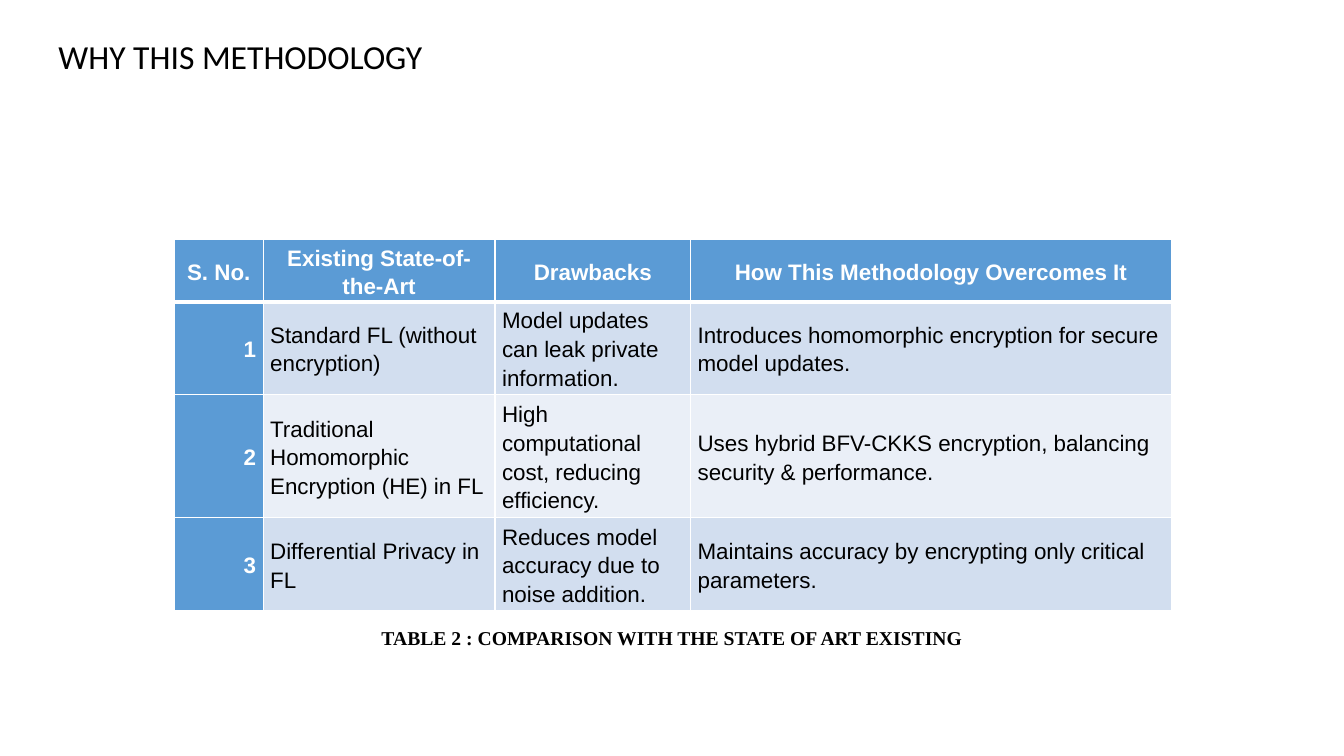
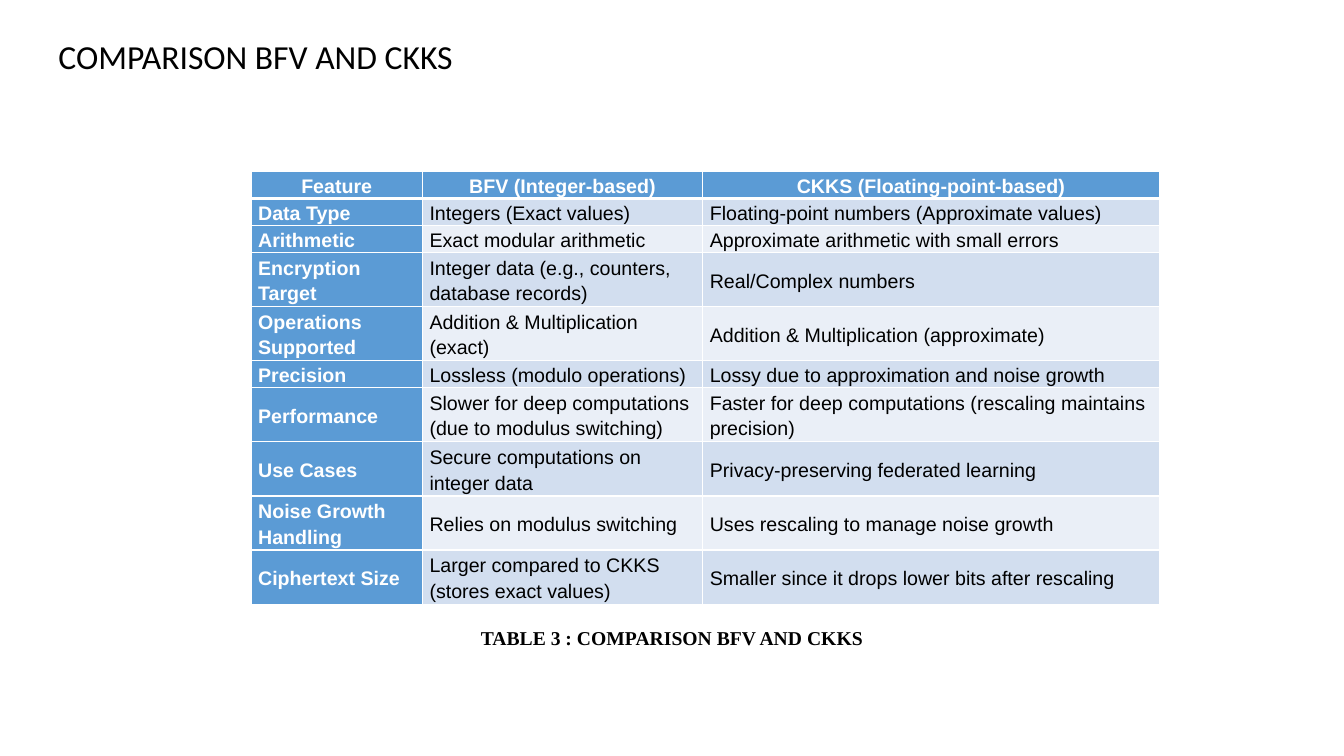
"""Build two slides that compare encryption methods in tables."""
import pptx
import pptx.dml.color
import pptx.enum.text
import pptx.oxml
import pptx.oxml.ns
import pptx.util

Inches = pptx.util.Inches
Pt = pptx.util.Pt
RGBColor = pptx.dml.color.RGBColor
ALIGN = pptx.enum.text.PP_ALIGN
MIDDLE = pptx.enum.text.MSO_ANCHOR.MIDDLE

BLACK = RGBColor(0x00, 0x00, 0x00)
WHITE = RGBColor(0xFF, 0xFF, 0xFF)
BLUE = RGBColor(0x5B, 0x9B, 0xD5)
BANDS = [RGBColor(0xEA, 0xEF, 0xF7), RGBColor(0xD2, 0xDE, 0xEF)]


def write_text(frame, text, *, font, size, color=BLACK, bold=False,
               align=ALIGN.LEFT, spacing=1.15, after=8):
    frame.word_wrap = True
    para = frame.paragraphs[0]
    para.alignment = align
    para.line_spacing = spacing
    para.space_after = Pt(after)
    span = para.add_run()
    span.text = text
    span.font.name = font
    span.font.size = Pt(size)
    span.font.bold = bold
    span.font.color.rgb = color


def add_border(cell, side, width):
    cell._tc.get_or_add_tcPr().append(pptx.oxml.parse_xml(
        f'<a:{side} {pptx.oxml.ns.nsdecls("a")} w="{Pt(width)}">'
        f'<a:solidFill><a:srgbClr val="{WHITE}"/></a:solidFill></a:{side}>'))


SLIDES = [
    dict(
        title="WHY THIS METHODOLOGY",
        caption="TABLE 2 : COMPARISON WITH THE STATE OF ART EXISTING",
        left=1.73, top=2.38, size=16, label_align=ALIGN.RIGHT,
        widths=[0.88, 2.3, 1.94, 4.77],
        heights=[0.6, 0.91, 1.22, 0.91],
        rows=[
            ["S. No.", "Existing State-of-the-Art", "Drawbacks",
             "How This Methodology Overcomes It"],
            ["1", "Standard FL (without encryption)",
             "Model updates can leak private information.",
             "Introduces homomorphic encryption for secure model updates."],
            ["2", "Traditional Homomorphic Encryption (HE) in FL",
             "High computational cost, reducing efficiency.",
             "Uses hybrid BFV-CKKS encryption, balancing security & performance."],
            ["3", "Differential Privacy in FL",
             "Reduces model accuracy due to noise addition.",
             "Maintains accuracy by encrypting only critical parameters."],
        ]),
    dict(
        title="COMPARISON BFV AND CKKS",
        caption="TABLE 3 : COMPARISON BFV AND CKKS",
        left=2.49, top=1.7, size=14, label_align=ALIGN.LEFT,
        widths=[1.7, 2.78, 4.53],
        heights=[0.26] * 3 + [0.53] * 2 + [0.26] + [0.53] * 4,
        rows=[
            ["Feature", "BFV (Integer-based)", "CKKS (Floating-point-based)"],
            ["Data Type", "Integers (Exact values)",
             "Floating-point numbers (Approximate values)"],
            ["Arithmetic", "Exact modular arithmetic",
             "Approximate arithmetic with small errors"],
            ["Encryption Target", "Integer data (e.g., counters, database records)",
             "Real/Complex numbers"],
            ["Operations Supported", "Addition & Multiplication (exact)",
             "Addition & Multiplication (approximate)"],
            ["Precision", "Lossless (modulo operations)",
             "Lossy due to approximation and noise growth"],
            ["Performance", "Slower for deep computations (due to modulus switching)",
             "Faster for deep computations (rescaling maintains precision)"],
            ["Use Cases", "Secure computations on integer data",
             "Privacy-preserving federated learning"],
            ["Noise Growth Handling", "Relies on modulus switching",
             "Uses rescaling to manage noise growth"],
            ["Ciphertext Size", "Larger compared to CKKS (stores exact values)",
             "Smaller since it drops lower bits after rescaling"],
        ]),
]

deck = pptx.Presentation()
deck.slide_width = Inches(13.33)
deck.slide_height = Inches(7.5)

for content in SLIDES:
    page = deck.slides.add_slide(deck.slide_layouts[6])

    title = page.shapes.add_textbox(Inches(0.58), Inches(0.34), Inches(6.75), Inches(0.42))
    frame = title.text_frame
    frame.margin_left = frame.margin_right = frame.margin_bottom = 0
    frame.margin_top = Inches(0.01)
    frame.vertical_anchor = MIDDLE
    write_text(frame, content["title"], font="Calibri", size=24, spacing=1.0, after=0)

    rows, widths, heights = content["rows"], content["widths"], content["heights"]
    table = page.shapes.add_table(
        len(rows), len(widths), Inches(content["left"]), Inches(content["top"]),
        Inches(sum(widths)), Inches(sum(heights))).table
    for column, width in zip(table.columns, widths):
        column.width = Inches(width)
    for row, height in zip(table.rows, heights):
        row.height = Inches(height)

    for r, texts in enumerate(rows):
        for c, text in enumerate(texts):
            cell = table.cell(r, c)
            strong = r == 0 or c == 0
            if r == 0:
                align = ALIGN.CENTER
            else:
                align = content["label_align"] if c == 0 else ALIGN.LEFT
            cell.margin_left = cell.margin_right = Inches(0.07)
            cell.margin_top = cell.margin_bottom = 0
            cell.vertical_anchor = MIDDLE
            write_text(cell.text_frame, text, font="Arial", size=content["size"],
                       color=WHITE if strong else BLACK, bold=strong, align=align)
            add_border(cell, "lnL", 1)
            add_border(cell, "lnR", 1)
            add_border(cell, "lnT", 3 if r == 1 else 1)
            add_border(cell, "lnB", 3 if r == 0 else 1)
            cell.fill.solid()
            cell.fill.fore_color.rgb = BLUE if strong else BANDS[r % 2]

    caption = page.shapes.add_textbox(Inches(3.33), Inches(6.13), Inches(6.67), Inches(0.35))
    write_text(caption.text_frame, content["caption"], font="Times New Roman",
               size=14, bold=True, align=ALIGN.CENTER)

deck.save("out.pptx")
